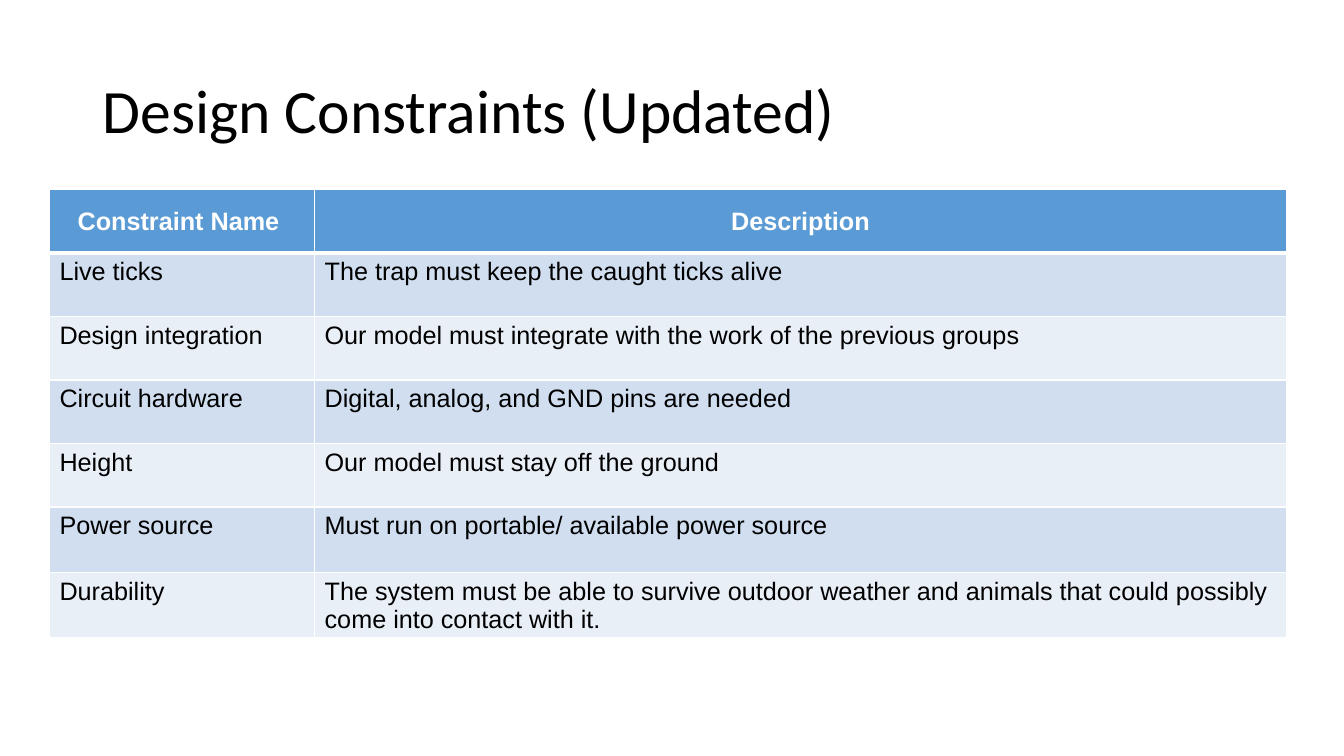
from lxml.etree import SubElement
from pptx import Presentation
from pptx.dml.color import RGBColor
from pptx.enum.text import MSO_ANCHOR, MSO_AUTO_SIZE, PP_ALIGN
from pptx.oxml.ns import qn
from pptx.util import Inches, Pt

BLACK = RGBColor(0x00, 0x00, 0x00)
WHITE = RGBColor(0xFF, 0xFF, 0xFF)
HEADER_BLUE = RGBColor(0x5B, 0x9B, 0xD5)
BAND_DARK = RGBColor(0xD0, 0xDE, 0xEF)
BAND_LIGHT = RGBColor(0xE9, 0xEF, 0xF7)

CONSTRAINTS = [
    ("Constraint Name ", "Description"),
    ("Live ticks", "The trap must keep the caught ticks alive"),
    ("Design integration", "Our model must integrate with the work of the previous groups"),
    ("Circuit hardware", "Digital, analog, and GND pins are needed"),
    ("Height", "Our model must stay off the ground"),
    ("Power source", "Must run on portable/ available power source"),
    ("Durability", "The system must be able to survive outdoor weather and animals "
                   "that could possibly come into contact with it."),
]
COLUMN_WIDTHS = [2.63, 9.64]
ROW_HEIGHTS = [0.63] * 5 + [0.65] * 2


def write(tf, text, font="Arial", size=18, color=BLACK, bold=False, align=PP_ALIGN.LEFT):
    p = tf.paragraphs[0]
    p.alignment = align
    r = p.add_run()
    r.text = text
    r.font.name = font
    r.font.size = Pt(size)
    r.font.bold = bold
    r.font.color.rgb = color
    return p


def set_borders(cell, top, bottom):
    tcPr = cell._tc.get_or_add_tcPr()
    for side, width in (("L", 1), ("R", 1), ("T", top), ("B", bottom)):
        ln = SubElement(tcPr, qn(f"a:ln{side}"), w=str(Pt(width)))
        fill = SubElement(ln, qn("a:solidFill"))
        SubElement(fill, qn("a:srgbClr"), val=str(WHITE))


prs = Presentation()
prs.slide_width = Inches(13.33)
prs.slide_height = Inches(7.5)
s = prs.slides.add_slide(prs.slide_layouts[5])

# Title
title = s.shapes.title
title.left, title.top = Inches(0.92), Inches(0.4)
title.width, title.height = Inches(11.5), Inches(1.45)
tf = title.text_frame
tf.word_wrap = True
tf.auto_size = MSO_AUTO_SIZE.NONE
tf.vertical_anchor = MSO_ANCHOR.MIDDLE
write(tf, "Design Constraints (Updated)", font="Calibri", size=44).line_spacing = 0.9

# Constraint table
table = s.shapes.add_table(
    len(CONSTRAINTS), len(COLUMN_WIDTHS), Inches(0.49), Inches(1.88),
    Inches(sum(COLUMN_WIDTHS)), Inches(sum(ROW_HEIGHTS))).table
for column, width in zip(table.columns, COLUMN_WIDTHS):
    column.width = Inches(width)

for i, texts in enumerate(CONSTRAINTS):
    table.rows[i].height = Inches(ROW_HEIGHTS[i])
    header = i == 0
    for j, text in enumerate(texts):
        cell = table.cell(i, j)
        # Thick rule under the header and the last row
        set_borders(cell, top=3 if i == 1 else 1,
                    bottom=3 if i in (0, len(CONSTRAINTS) - 1) else 1)
        cell.fill.solid()
        if header:
            cell.fill.fore_color.rgb = HEADER_BLUE
            cell.vertical_anchor = MSO_ANCHOR.MIDDLE
            write(cell.text_frame, text, color=WHITE, bold=True, align=PP_ALIGN.CENTER)
        else:
            cell.fill.fore_color.rgb = BAND_DARK if i % 2 else BAND_LIGHT
            write(cell.text_frame, text)

prs.save("out.pptx")
